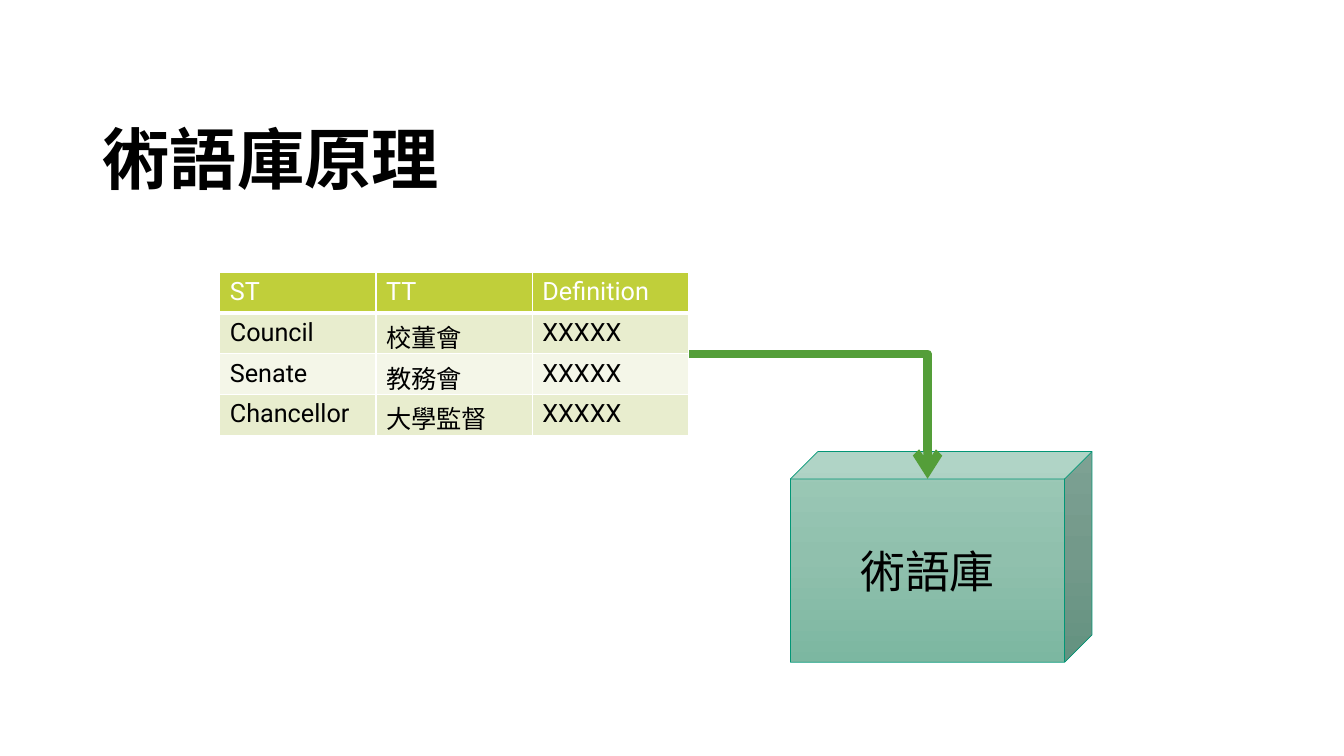
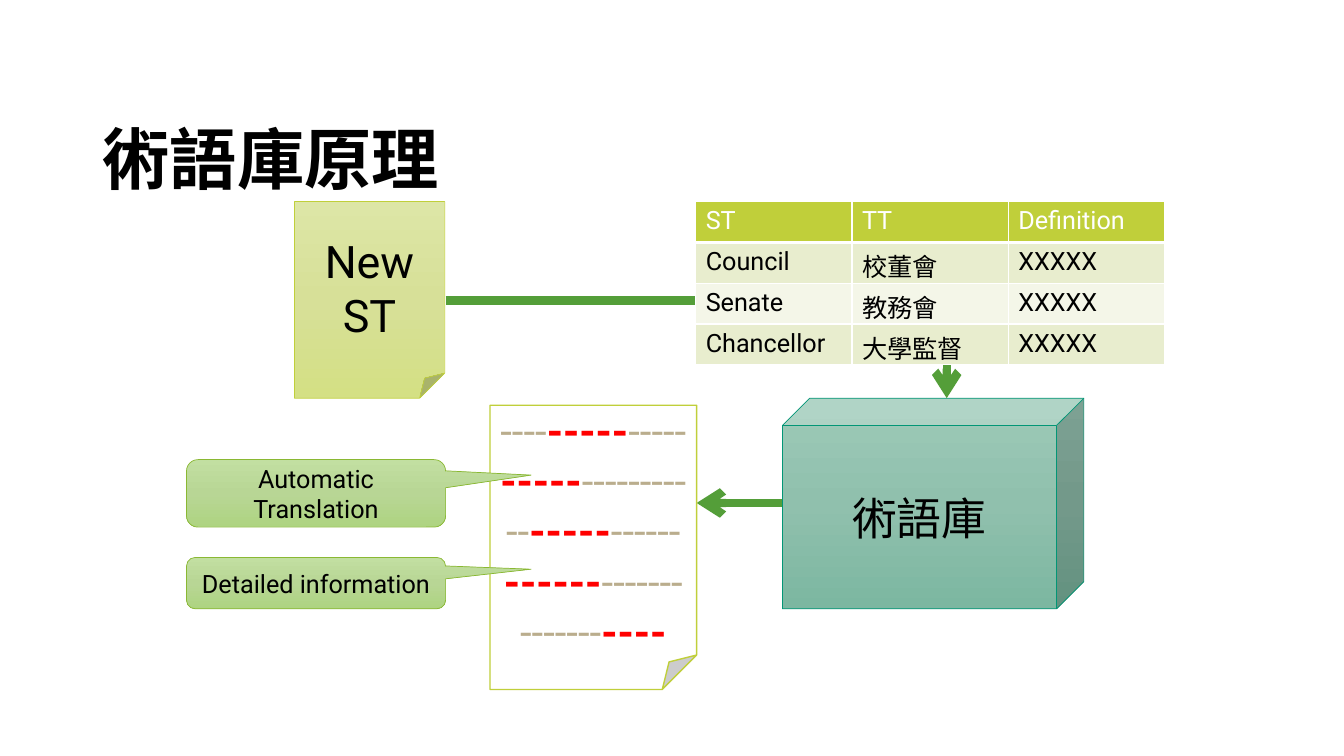
from copy import deepcopy

from pptx import Presentation
from pptx.dml.color import RGBColor
from pptx.enum.shapes import MSO_CONNECTOR as LINK, MSO_SHAPE as SHAPE
from pptx.enum.text import MSO_ANCHOR as ANCHOR, PP_ALIGN as ALIGN
from pptx.oxml.ns import qn
from pptx.util import Inches, Pt
from lxml.etree import SubElement

FONT = "Roboto"
COLORS = {
    "text": "000000", "white": "FFFFFF", "arrow": "549E39",
    "lime": "C0CF3A", "odd_row": "E8EDCE", "even_row": "F4F6E8",
    "teal": "029676", "leaf": "8AB833", "plain": "BAAD8D", "term": "FF0000",
}
RGB = {key: RGBColor.from_string(value) for key, value in COLORS.items()}
GRADIENTS = {
    "termbase": ["9DCAB8", "90C0AD", "7CB7A1"],
    "new_text": ["DDE6A6", "D7E098", "D4E084"],
    "callout": ["C2DFA1", "B8D695", "AED481"],
}
TERMS = [
    ["ST", "TT", "Definition"],
    ["Council", "校董會", "XXXXX"],
    ["Senate", "教務會", "XXXXX"],
    ["Chancellor", "大學監督", "XXXXX"],
]
BORDERS = ["a:lnL", "a:lnR", "a:lnT", "a:lnB"]


def add_block(slide, kind, box, fill, outline, runs, size, adjust=(), width=0.5):
    block = slide.shapes.add_shape(kind, *map(Inches, box))
    block.shadow.inherit = False
    for index, value in enumerate(adjust):
        block.adjustments[index] = value
    if fill in GRADIENTS:
        block.fill.gradient()
        block.fill.gradient_angle = 270
        stops = block._element.spPr.find(".//" + qn("a:gsLst"))
        stops.insert(1, deepcopy(stops[0]))
        for index, stop in enumerate(block.fill.gradient_stops):
            stop.color.rgb = RGBColor.from_string(GRADIENTS[fill][index])
            stop.position = index / 2
    else:
        block.fill.solid()
        block.fill.fore_color.rgb = RGB[fill]
    block.line.color.rgb = RGB[outline]
    block.line.width = Pt(width)
    block.text_frame.word_wrap = True
    block.text_frame.vertical_anchor = ANCHOR.MIDDLE
    paragraph = block.text_frame.paragraphs[0]
    paragraph.alignment = ALIGN.CENTER
    for text, color in runs:
        run = paragraph.add_run()
        run.text = text
        run.font.name = FONT
        run.font.size = Pt(size)
        run.font.bold = color == "term"
        run.font.color.rgb = RGB[color]


def add_arrow(slide, kind, *ends):
    arrow = slide.shapes.add_connector(kind, *map(Inches, ends))
    arrow.line.color.rgb = RGB["arrow"]
    arrow.line.width = Pt(6)
    properties = arrow._element.spPr
    if kind == LINK.ELBOW:
        properties.find(qn("a:prstGeom")).set("prst", "bentConnector2")
    SubElement(properties.find(qn("a:ln")), qn("a:tailEnd"), type="arrow")
    SubElement(properties, qn("a:effectLst"))


deck = Presentation()
deck.slide_width = Inches(13.33)
deck.slide_height = Inches(7.5)

SCENES = [
    ((7.84, 4.48), (2.18, 2.7), (6.82, 3.51, 9.2, 4.75)),
    ((7.76, 3.95), (6.9, 2), (4.42, 2.98, 9.39, 3.95)),
]
for termbase_at, glossary_at, route in SCENES:
    slide = deck.slides.add_slide(deck.slide_layouts[6])

    title = slide.shapes.add_textbox(*map(Inches, (0.92, 0.75, 11.49, 1.27))).text_frame
    title.word_wrap = True
    title.vertical_anchor = ANCHOR.BOTTOM
    heading = title.paragraphs[0]
    heading.line_spacing = 0.9
    run = heading.add_run()
    run.text = "術語庫原理"
    run.font.name = FONT
    run.font.size = Pt(48)
    run.font.bold = True
    run.font.color.rgb = RGB["text"]

    add_block(slide, SHAPE.CUBE, (*termbase_at, 2.99, 2.09), "termbase", "teal",
              [("術語庫", "text")], 32, [0.13])
    add_arrow(slide, LINK.ELBOW, *route)

    glossary = slide.shapes.add_table(
        len(TERMS), len(TERMS[0]), *map(Inches, (*glossary_at, 4.65, 1.62))).table
    for row, words in enumerate(TERMS):
        for column, word in enumerate(words):
            cell = glossary.cell(row, column)
            for side in BORDERS:
                thick = (row, side) in [(0, "a:lnB"), (1, "a:lnT")]
                border = SubElement(cell._tc.get_or_add_tcPr(), qn(side),
                                    w=str(Pt(3 if thick else 1)))
                SubElement(SubElement(border, qn("a:solidFill")),
                           qn("a:srgbClr"), val=COLORS["white"])
            cell.fill.solid()
            cell.fill.fore_color.rgb = RGB[
                "lime" if row == 0 else "odd_row" if row % 2 else "even_row"]
            run = cell.text_frame.paragraphs[0].add_run()
            run.text = word
            run.font.name = FONT
            run.font.size = Pt(18)
            run.font.bold = False
            run.font.color.rgb = RGB["text" if row else "white"]

add_block(slide, SHAPE.FOLDED_CORNER, (2.92, 2, 1.49, 1.95), "new_text", "lime",
          [("New ST", "text")], 32)
add_arrow(slide, LINK.STRAIGHT, 7.76, 4.99, 6.91, 4.99)

dash_counts = [4, 5, 5, 5, 11, 5, 6, 6, 14, 4]
dashes = [("-" * count, "term" if index % 2 else "plain")
          for index, count in enumerate(dash_counts)]
add_block(slide, SHAPE.FOLDED_CORNER, (4.86, 4.02, 2.05, 2.82), "white", "lime",
          dashes, 30, width=1)

for label, top, height in [("Automatic Translation", 4.56, 0.67),
                           ("Detailed information", 5.53, 0.51)]:
    add_block(slide, SHAPE.ROUNDED_RECTANGULAR_CALLOUT, (1.85, top, 2.57, height),
              "callout", "leaf", [(label, "text")], 18, [0.83, -0.27, 0.17])

deck.save("out.pptx")
